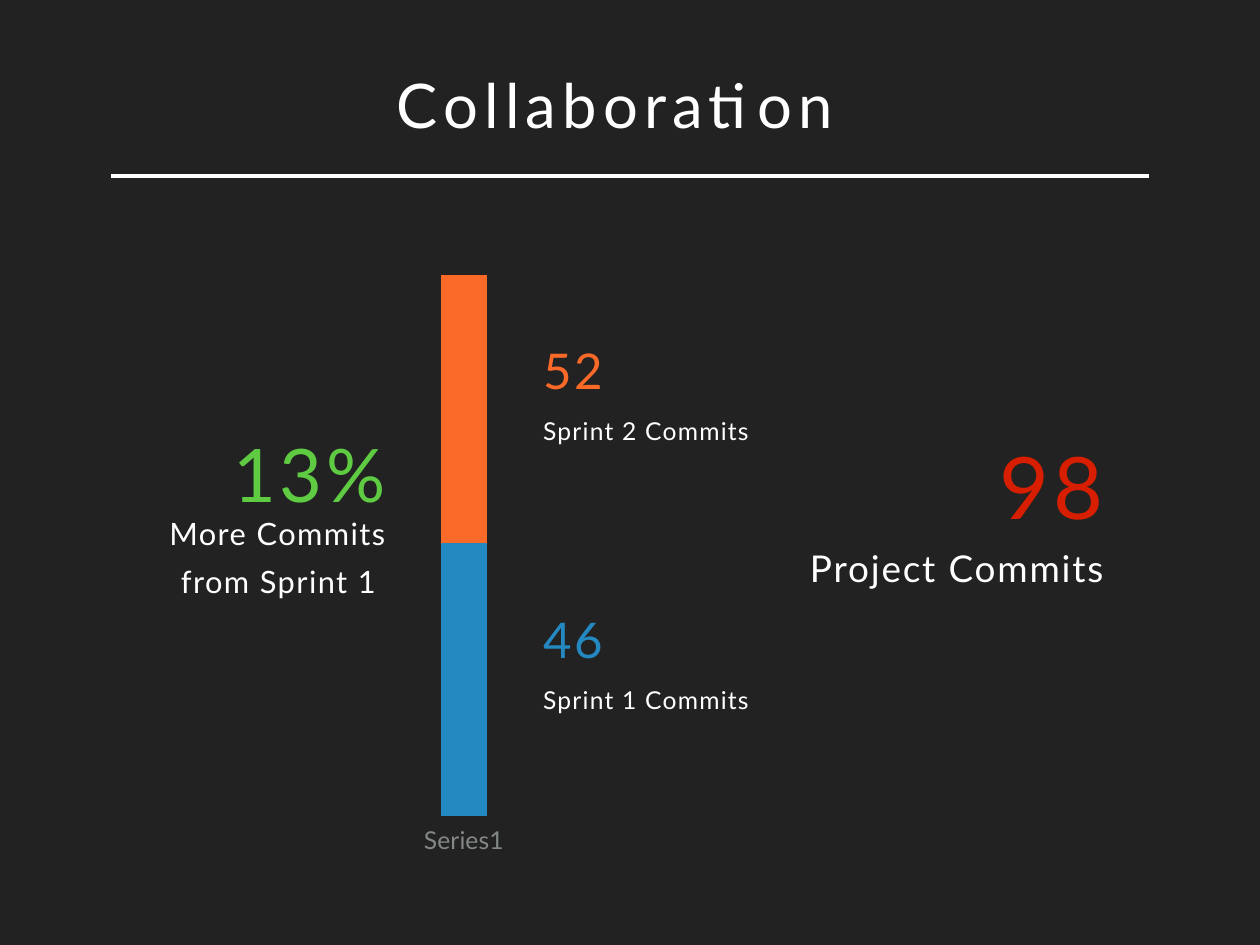
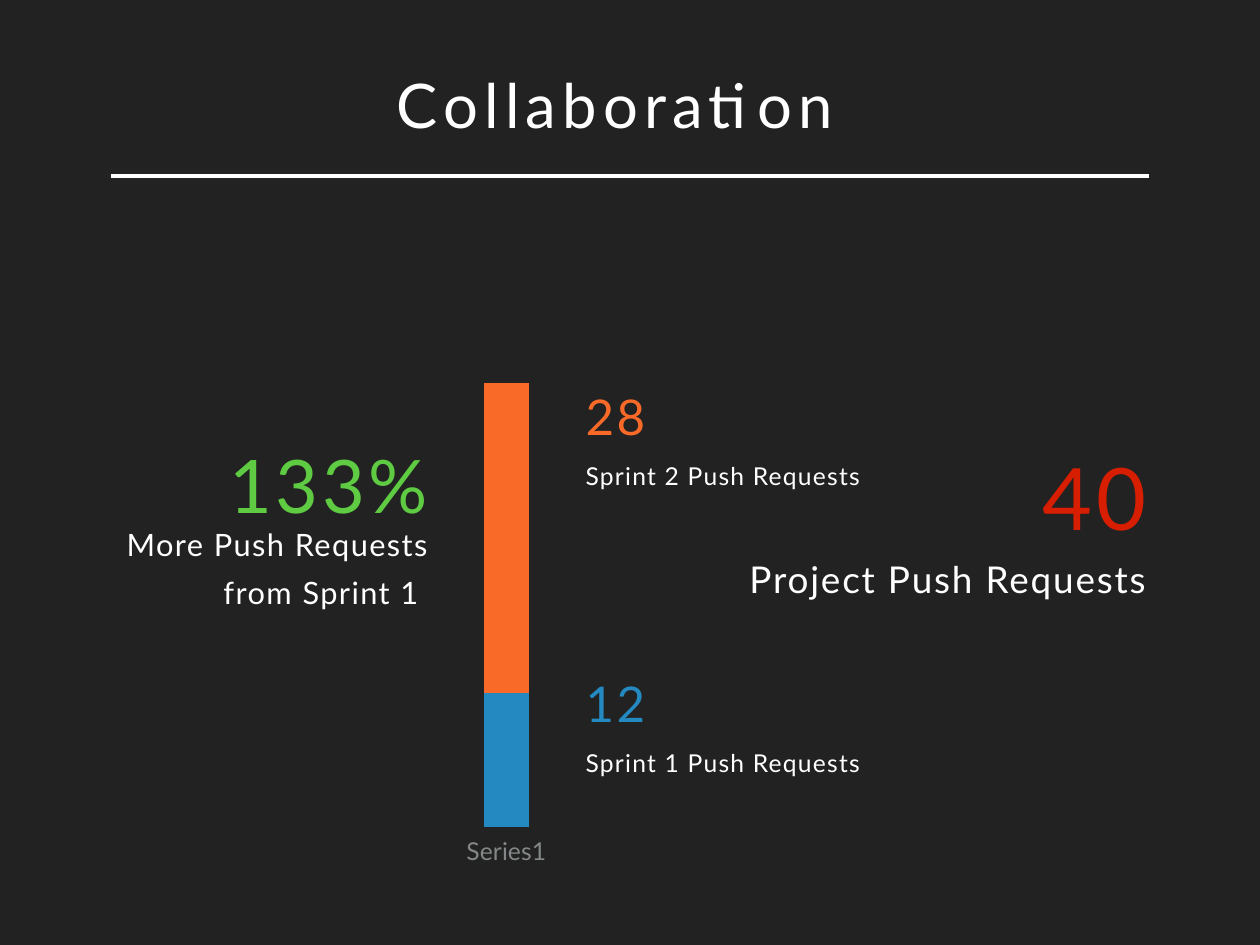
import pptx
import pptx.chart.data
import pptx.dml.color
import pptx.enum.chart
import pptx.enum.shapes
import pptx.enum.text
import pptx.util
import lxml.etree

Inches = pptx.util.Inches
Align = pptx.enum.text.PP_ALIGN

WIDTH, HEIGHT = 14.22, 10.67
FONT = "Lato"
INSET = 0.06
COLORS = {
    "background": "222222",
    "text": "FFFFFF",
    "axis": "838787",
    "sprint_1": "2389C0",
    "sprint_2": "F96928",
    "total": "D81E00",
    "growth": "5ECB43",
}
TITLE_BOX = (4.42, 0.64, 5.39, 1.06)
RULE_LEFT, RULE_RIGHT, RULE_TOP = 1.25, 12.97, 1.99
CHART_WIDTH = 1.87
SPRINT_OFFSET, GROWTH_OFFSET, TOTAL_OFFSET = 1.97, 0.31, 8.42
GROWTH_RISE = 0.14

SLIDES = [
    {
        "title": "Collaboration",
        "chart": {"left": 4.1, "top": 2.11, "height": 7.73, "values": (100, 98),
                  "maximum": 218, "major": 54, "plot": (0.22, 0.049, 0.775, 0.87)},
        "sprints": [("sprint_1", "46", "Sprint 1 Commits", 6.94),
                    ("sprint_2", "52", "Sprint 2 Commits", 3.91)],
        "sprint_width": 2.55,
        "total": ("98", "Project Commits"),
        "total_top": 5.07,
        "total_width": 3.57,
        "growth": ("13%", "More Commits", "from Sprint 1 "),
        "growth_width": 2.71,
    },
    {
        "title": "Collaboration",
        "chart": {"left": 4.58, "top": 2.69, "height": 7.27, "values": (43, 100),
                  "maximum": 179, "major": 36, "plot": (0.22, 0.052, 0.775, 0.862)},
        "sprints": [("sprint_1", "12", "Sprint 1 Push Requests", 7.66),
                    ("sprint_2", "28", "Sprint 2 Push Requests", 4.42)],
        "sprint_width": 3.33,
        "total": ("40", "Project Push Requests"),
        "total_top": 5.19,
        "total_width": 4.73,
        "growth": ("133%", "More Push Requests", "from Sprint 1 "),
        "growth_width": 3.67,
    },
]


def color(name):
    return pptx.dml.color.RGBColor.from_string(COLORS[name])


def style_font(font, size, color_name):
    font.name = FONT
    font.size = pptx.util.Pt(size)
    font.color.rgb = color(color_name)


def style_paragraph(paragraph, size, color_name, spacing, alignment):
    paragraph.alignment = alignment
    for run in paragraph.runs:
        style_font(run.font, size, color_name)
        run.font._element.set("spc", str(round(spacing * 100)))


def set_frame(text_frame):
    text_frame.word_wrap = False
    text_frame.auto_size = pptx.enum.text.MSO_AUTO_SIZE.SHAPE_TO_FIT_TEXT
    text_frame.vertical_anchor = pptx.enum.text.MSO_ANCHOR.MIDDLE
    for side in ("left", "top", "right", "bottom"):
        setattr(text_frame, f"margin_{side}", Inches(INSET))


def add_heading(slide, text):
    title = slide.shapes.title
    title.left, title.top, title.width, title.height = map(Inches, TITLE_BOX)
    title.text_frame.text = text
    set_frame(title.text_frame)
    style_paragraph(title.text_frame.paragraphs[0], 50, "text", 5, Align.LEFT)
    rule = slide.shapes.add_connector(
        pptx.enum.shapes.MSO_CONNECTOR.STRAIGHT,
        Inches(RULE_LEFT), Inches(RULE_TOP), Inches(RULE_RIGHT), Inches(RULE_TOP))
    rule.line.color.rgb = color("text")
    rule.line.width = pptx.util.Pt(3)
    lxml.etree.SubElement(rule._element.spPr, pptx.oxml.ns.qn("a:effectLst"))


def add_figure(slide, box, lines, alignment):
    shape = slide.shapes.add_textbox(*map(Inches, box))
    text_frame = shape.text_frame
    text_frame.text = "\n".join(line[0] for line in lines)
    set_frame(text_frame)
    for index, (paragraph, line) in enumerate(zip(text_frame.paragraphs, lines)):
        text, size, color_name, spacing, line_spacing = line
        style_paragraph(paragraph, size, color_name, spacing, alignment)
        paragraph.line_spacing = line_spacing
        if index:
            paragraph.space_before = pptx.util.Pt(24)


def set_plot_layout(chart, plot):
    plot_area = chart._chartSpace.chart.plotArea
    for existing in plot_area.findall(pptx.oxml.ns.qn("c:layout")):
        plot_area.remove(existing)
    layout = lxml.etree.Element(pptx.oxml.ns.qn("c:layout"))
    manual = lxml.etree.SubElement(layout, pptx.oxml.ns.qn("c:manualLayout"))
    settings = [("layoutTarget", "inner"), ("xMode", "edge"), ("yMode", "edge")]
    settings += zip("xywh", plot)
    for tag, value in settings:
        lxml.etree.SubElement(manual, pptx.oxml.ns.qn(f"c:{tag}")).set("val", str(value))
    plot_area.insert(0, layout)


def add_commit_chart(slide, content):
    data = pptx.chart.data.CategoryChartData()
    data.categories = ["Series1"]
    for number, value in enumerate(content["values"], 1):
        data.add_series(f"Series {number}", [value])
    chart = slide.shapes.add_chart(
        pptx.enum.chart.XL_CHART_TYPE.COLUMN_STACKED,
        Inches(content["left"]), Inches(content["top"]),
        Inches(CHART_WIDTH), Inches(content["height"]), data).chart
    chart.has_legend = False
    chart.has_title = False
    style_font(chart.font, 10, "axis")
    chart.font.name = "Roboto Condensed"

    plot = chart.plots[0]
    plot.gap_width = 180
    plot.overlap = 100
    plot.vary_by_categories = False
    for series, color_name in zip(plot.series, ("sprint_1", "sprint_2")):
        series.format.fill.solid()
        series.format.fill.fore_color.rgb = color(color_name)

    labels = pptx.enum.chart.XL_TICK_LABEL_POSITION
    for axis, size, position in ((chart.category_axis, 20, labels.LOW),
                                 (chart.value_axis, 36, labels.NONE)):
        axis.has_major_gridlines = False
        axis.major_tick_mark = pptx.enum.chart.XL_TICK_MARK.NONE
        axis.minor_tick_mark = pptx.enum.chart.XL_TICK_MARK.NONE
        axis.tick_label_position = position
        axis.format.line.fill.background()
        style_font(axis.tick_labels.font, size, "axis")
    chart.value_axis.minimum_scale = 0
    chart.value_axis.maximum_scale = content["maximum"]
    chart.value_axis.major_unit = content["major"]
    chart.value_axis.tick_labels.number_format = "#,##0%"
    chart.value_axis.tick_labels.number_format_is_linked = False
    set_plot_layout(chart, content["plot"])


def add_collaboration_slide(presentation, content):
    slide = presentation.slides.add_slide(presentation.slide_layouts[5])
    add_heading(slide, content["title"])
    add_commit_chart(slide, content["chart"])
    left = content["chart"]["left"]

    number, label = content["total"]
    width, top = content["total_width"], content["total_top"]
    add_figure(slide, (left + TOTAL_OFFSET - width, top, width, 1.81),
               [(number, 70, "total", 3.5, 0.6), (label, 30, "text", 1.5, 0.6)],
               Align.RIGHT)

    for color_name, number, label, sprint_top in content["sprints"]:
        add_figure(slide, (left + SPRINT_OFFSET, sprint_top, content["sprint_width"], 1.28),
                   [(number, 40, color_name, 2, 0.6), (label, 20, "text", 1, 0.6)],
                   Align.LEFT)

    percent, label, base = content["growth"]
    width = content["growth_width"]
    add_figure(slide, (left + GROWTH_OFFSET - width, top - GROWTH_RISE, width, 2.09),
               [(percent, 60, "growth", 3, 0.6), (label, 25, "text", 1.2, 0.1),
                (base, 25, "text", 1.2, 0.6)],
               Align.RIGHT)


def main():
    presentation = pptx.Presentation()
    presentation.slide_width = Inches(WIDTH)
    presentation.slide_height = Inches(HEIGHT)
    background = presentation.slide_master.background.fill
    background.solid()
    background.fore_color.rgb = color("background")
    for content in SLIDES:
        add_collaboration_slide(presentation, content)
    presentation.save("out.pptx")


if __name__ == "__main__":
    main()
